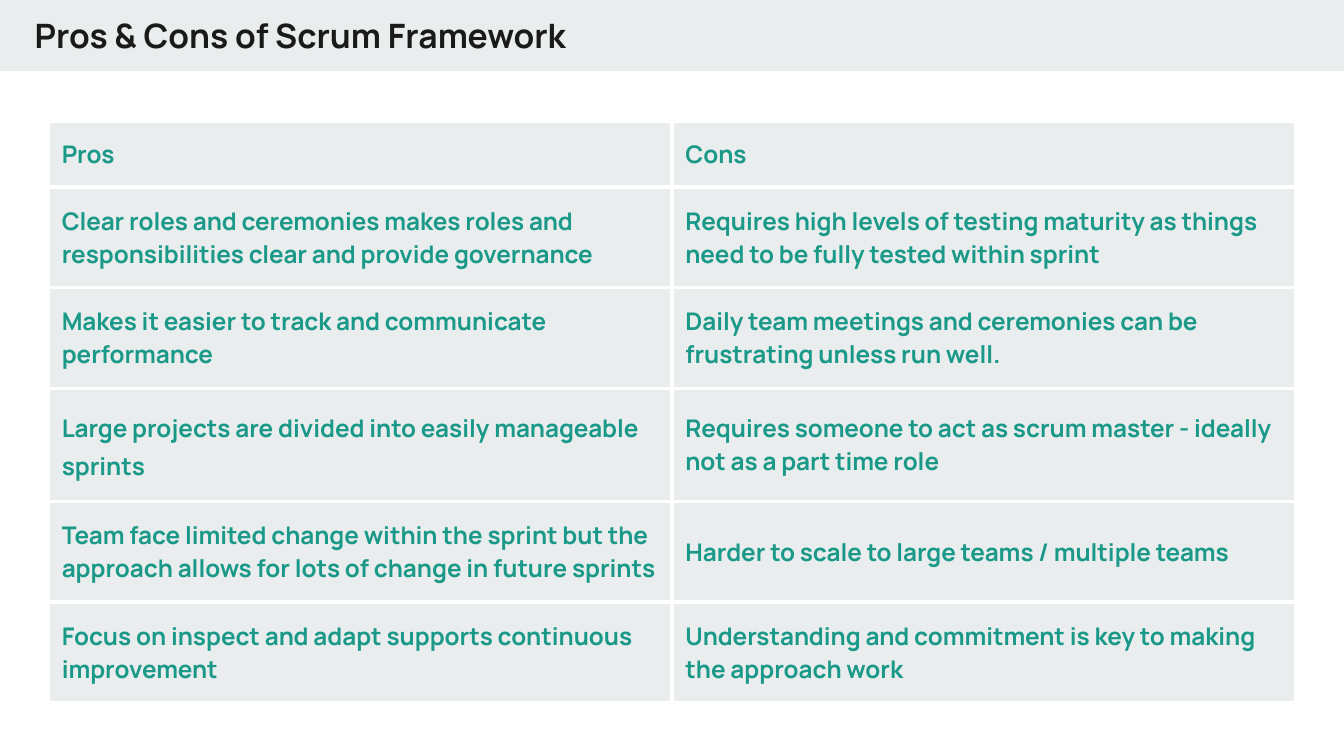
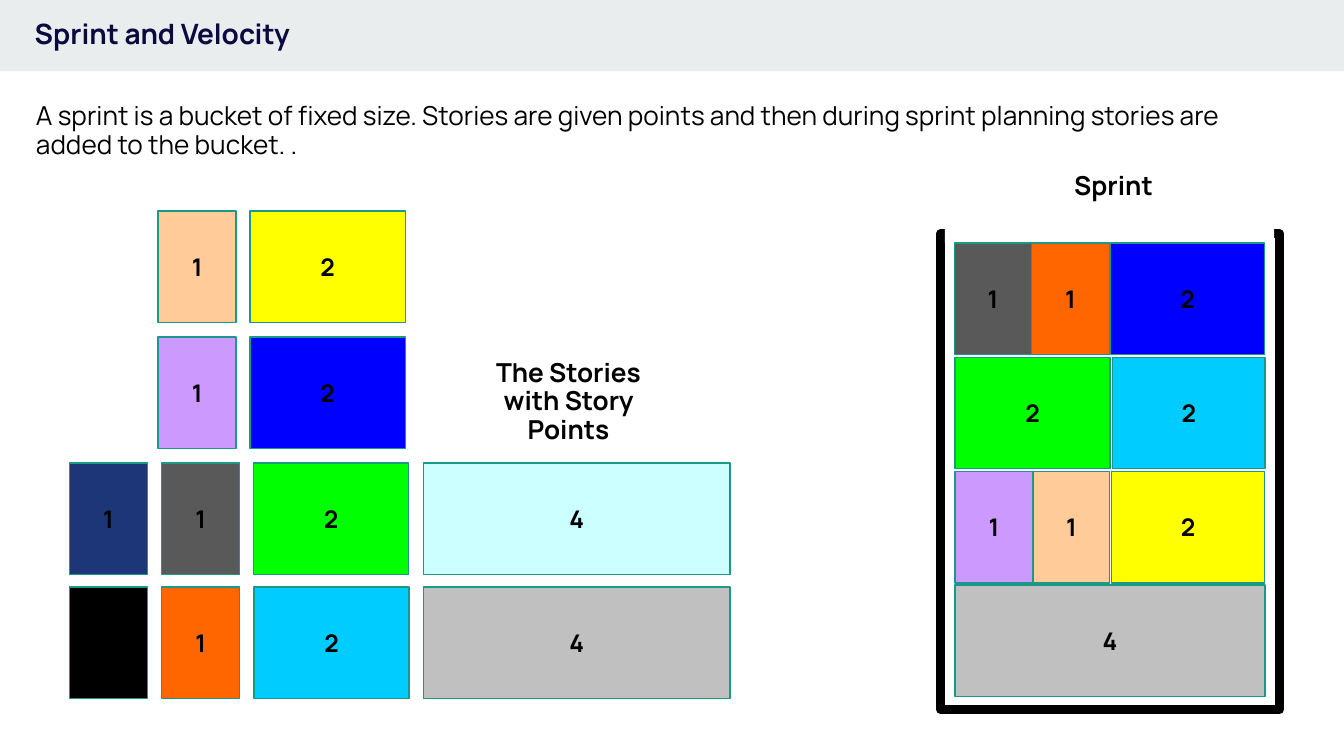
import pptx
import pptx.util
import pptx.dml.color
import pptx.enum.shapes
import pptx.enum.text
import pptx.oxml
import pptx.oxml.ns

Pt = pptx.util.Pt
RGBColor = pptx.dml.color.RGBColor
Align = pptx.enum.text.PP_ALIGN
Anchor = pptx.enum.text.MSO_ANCHOR

# Colours
BLACK = RGBColor(0x00, 0x00, 0x00)
WHITE = RGBColor(0xFF, 0xFF, 0xFF)
BAND = RGBColor(0xE9, 0xED, 0xEE)
INK = RGBColor(0x1A, 0x1A, 0x1A)
NAVY = RGBColor(0x0A, 0x0A, 0x3E)
TEAL = RGBColor(0x1A, 0x99, 0x88)
PEACH = RGBColor(0xFF, 0xCC, 0x99)
YELLOW = RGBColor(0xFF, 0xFF, 0x00)
LILAC = RGBColor(0xCC, 0x99, 0xFF)
BLUE = RGBColor(0x00, 0x00, 0xFF)
DENIM = RGBColor(0x1C, 0x36, 0x78)
DARK_GREY = RGBColor(0x59, 0x59, 0x59)
GREEN = RGBColor(0x00, 0xFF, 0x00)
PALE_CYAN = RGBColor(0xCC, 0xFF, 0xFF)
ORANGE = RGBColor(0xFF, 0x66, 0x00)
SKY = RGBColor(0x00, 0xCC, 0xFF)
SILVER = RGBColor(0xC0, 0xC0, 0xC0)

FONT = "Manrope"
SLIDE_WIDTH, SLIDE_HEIGHT = 720, 405
STORY_HEIGHT = 59.8

PROS_AND_CONS = [
    ("Pros", "Cons"),
    ("Clear roles and ceremonies makes roles and responsibilities clear and provide governance",
     "Requires high levels of testing maturity as things need to be fully tested within sprint"),
    ("Makes it easier to track and communicate performance",
     "Daily team meetings and ceremonies can be frustrating unless run well."),
    ("Large projects are divided into easily manageable sprints",
     "Requires someone to act as scrum master - ideally not as a part time role"),
    ("Team face limited change within the sprint but the approach allows for lots of change in future sprints",
     "Harder to scale to large teams / multiple teams"),
    ("Focus on inspect and adapt supports continuous improvement",
     "Understanding and commitment is key to making the approach work"),
]
ROW_HEIGHTS = [35.3, 54, 54, 60.5, 54, 54]

# Each row: top, then stories as (left, width, points, colour)
BACKLOG = [
    (113, [(84.7, 41.8, "1", PEACH), (133.9, 83.2, "2", YELLOW)]),
    (180.6, [(84.7, 41.8, "1", LILAC), (133.9, 83.2, "2", BLUE)]),
    (248, [(37.2, 41.8, "1", DENIM), (86.6, 41.8, "1", DARK_GREY),
           (135.8, 83.2, "2", GREEN), (226.8, 164.2, "4", PALE_CYAN)]),
    (314.6, [(37.2, 41.8, "", BLACK), (86.6, 41.8, "1", ORANGE),
             (136, 83.2, "2", SKY), (226.8, 164.4, "4", SILVER)]),
]
BUCKET = [
    (130.3, [(511.5, 41, "1", DARK_GREY), (552.7, 41.6, "1", ORANGE), (595, 82.6, "2", BLUE)]),
    (191.4, [(511.5, 83.2, "2", GREEN), (596, 81.8, "2", SKY)]),
    (252.5, [(511.5, 41.8, "1", LILAC), (553.5, 41, "1", PEACH), (595.4, 82.2, "2", YELLOW)]),
    (313.4, [(511.5, 166.2, "4", SILVER)]),
]


def write_text(frame, text, size=13, color=BLACK, bold=True, align=Align.LEFT,
               spacing=None, anchor=Anchor.TOP, margins=(7.2, 3.6)):
    """Fill a text frame, one paragraph for each line of text."""
    frame.word_wrap = True
    frame.vertical_anchor = anchor
    frame.margin_left = frame.margin_right = Pt(margins[0])
    frame.margin_top = frame.margin_bottom = Pt(margins[1])
    for index, line in enumerate(text.split("\n")):
        paragraph = frame.add_paragraph() if index else frame.paragraphs[0]
        paragraph.alignment = align
        if spacing:
            paragraph.line_spacing = spacing
        run = paragraph.add_run()
        run.text = line
        run.font.name = FONT
        run.font.size = Pt(size)
        run.font.bold = bold
        run.font.color.rgb = color


class Deck:
    def __init__(self):
        self.presentation = pptx.Presentation()
        self.presentation.slide_width = Pt(SLIDE_WIDTH)
        self.presentation.slide_height = Pt(SLIDE_HEIGHT)
        self.slide = None

    def add_slide(self, title, **style):
        self.slide = self.presentation.slides.add_slide(self.presentation.slide_layouts[6])
        self.rectangle(0, 0, SLIDE_WIDTH, 38.2, fill=BAND)
        self.text(11.5, -2.2, 605.5, 42.5, title, anchor=Anchor.MIDDLE, margins=(7.2, 7.2), **style)

    def rectangle(self, left, top, width, height, fill=None, line=None, line_width=0.75):
        shape = self.slide.shapes.add_shape(
            pptx.enum.shapes.MSO_SHAPE.RECTANGLE, Pt(left), Pt(top), Pt(width), Pt(height))
        shape.shadow.inherit = False
        if fill is None:
            shape.fill.background()
        else:
            shape.fill.solid()
            shape.fill.fore_color.rgb = fill
        if line is None:
            shape.line.fill.background()
        else:
            shape.line.color.rgb = line
            shape.line.width = Pt(line_width)
        return shape

    def text(self, left, top, width, height, text, **style):
        box = self.slide.shapes.add_textbox(Pt(left), Pt(top), Pt(width), Pt(height))
        write_text(box.text_frame, text, **style)

    def stories(self, rows):
        for top, row in rows:
            for left, width, points, color in row:
                shape = self.rectangle(left, top, width, STORY_HEIGHT, fill=color, line=TEAL)
                if points:
                    write_text(shape.text_frame, points, align=Align.CENTER, anchor=Anchor.MIDDLE)

    def table(self, left, top, column_width, row_heights, rows):
        columns = len(rows[0])
        table = self.slide.shapes.add_table(
            len(rows), columns, Pt(left), Pt(top),
            Pt(column_width * columns), Pt(sum(row_heights))).table
        for column in table.columns:
            column.width = Pt(column_width)
        for row, height, texts in zip(table.rows, row_heights, rows):
            row.height = Pt(height)
            for cell, text in zip(row.cells, texts):
                self.cell(cell, text)
        return table

    def cell(self, cell, text):
        write_text(cell.text_frame, text, color=TEAL)
        cell.vertical_anchor = Anchor.MIDDLE
        cell.margin_left = cell.margin_right = cell.margin_top = cell.margin_bottom = Pt(7.2)
        # Borders come before the fill in the cell properties
        properties = cell._tc.get_or_add_tcPr()
        for side in ("lnL", "lnR", "lnT", "lnB"):
            properties.append(pptx.oxml.parse_xml(
                f'<a:{side} {pptx.oxml.ns.nsdecls("a")} w="{Pt(2.25)}">'
                f'<a:solidFill><a:srgbClr val="{WHITE}"/></a:solidFill></a:{side}>'))
        cell.fill.solid()
        cell.fill.fore_color.rgb = BAND


def build_pros_and_cons(deck):
    deck.add_slide("Pros & Cons of Scrum Framework", size=18, color=INK)
    table = deck.table(25.9, 64.8, 334.1, ROW_HEIGHTS, PROS_AND_CONS)
    table.cell(3, 0).text_frame.paragraphs[0].line_spacing = 1.15


def build_sprint_and_velocity(deck):
    deck.add_slide("Sprint and Velocity", size=15, color=NAVY, spacing=0.9)
    deck.text(12.2, 48.2, 673.2, 41, "A sprint is a bucket of fixed size. Stories are given points and "
              "then during sprint planning stories are added to the bucket. .",
              size=14, bold=False, margins=(7.2, 7.2), spacing=0.9)

    # Stories waiting for a sprint
    deck.stories(BACKLOG)
    deck.text(239.8, 189.4, 129.6, 41, "The Stories\nwith Story Points",
              size=14, align=Align.CENTER, spacing=0.9)

    # Sprint bucket, open at the top
    deck.text(563.8, 89.3, 65.5, 24.5, "Sprint", size=14, align=Align.CENTER, spacing=0.9)
    deck.rectangle(504, 125.3, 181.4, 254.9, line=BLACK, line_width=5)
    deck.rectangle(506.2, 118.8, 176.4, 11.5, fill=WHITE)
    deck.stories(BUCKET)


def main():
    deck = Deck()
    build_pros_and_cons(deck)
    build_sprint_and_velocity(deck)
    deck.presentation.save("out.pptx")


if __name__ == "__main__":
    main()
